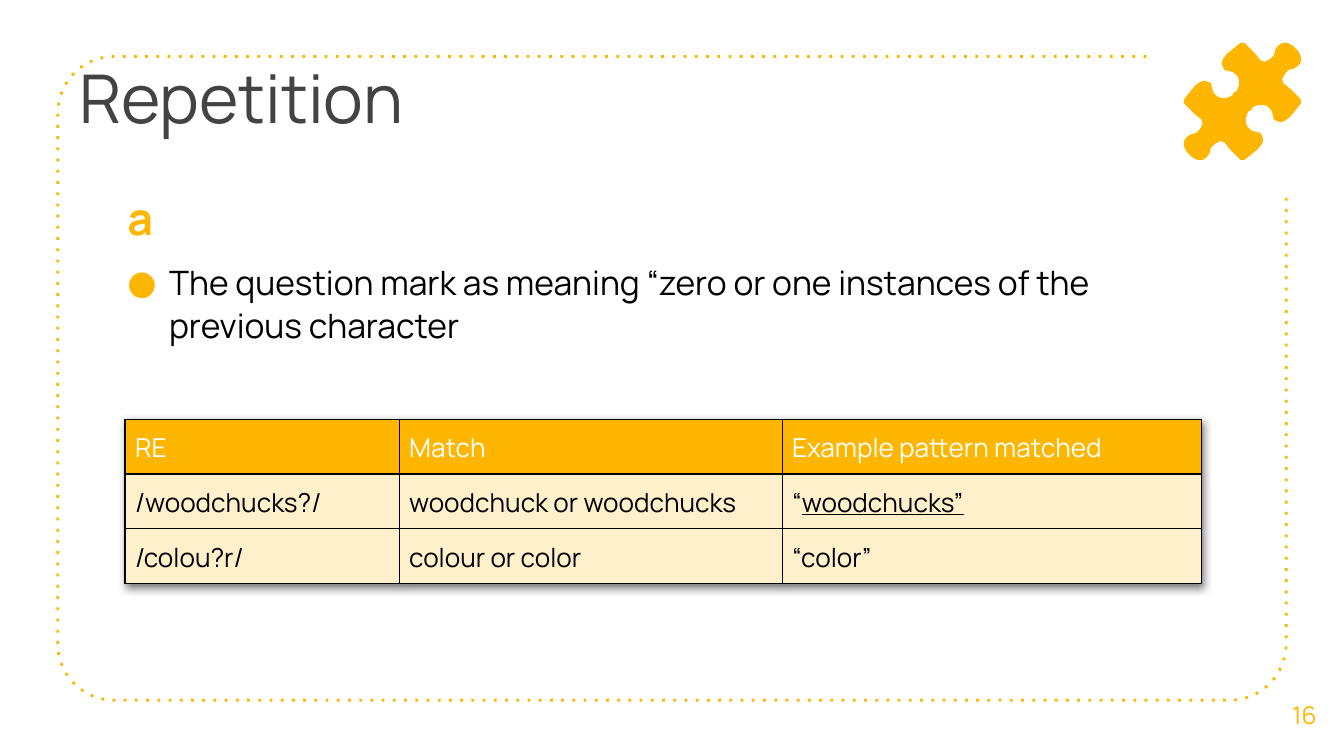
"""Build the slide on repetition in regular expressions."""
from math import cos, radians, sin

from lxml.etree import SubElement
from pptx import Presentation
from pptx.dml.color import RGBColor
from pptx.enum.text import MSO_ANCHOR, PP_ALIGN
from pptx.oxml import parse_xml
from pptx.oxml.ns import nsdecls, qn
from pptx.util import Inches, Pt

AMBER, CREAM, GREY, BLACK, WHITE = "FFB600", "FFF0CC", "434343", "000000", "FFFFFF"
TYPEFACE = "Manrope"

TITLE = "Repetition"
SUBHEAD = "a"
POINT = "The question mark as meaning “zero or one instances of the previous character"
PAGE = "16"
ROWS = [
    ["RE", "Match", "Example pattern matched"],
    ["/woodchucks?/", "woodchuck or woodchucks", "“woodchucks”"],
    ["/colou?r/", "colour or color", "“color”"],
]
UNDERLINED = "woodchucks”"
COLUMN_WIDTHS = [2.04, 2.85, 3.12]
TABLE_HEIGHT = 1.22

FRAME_START, FRAME_END = (8.53, 0.42), (9.57, 1.46)
CORNER_RADIUS = 0.42
CORNERS = [((0.85, 0.84), 270), ((0.85, 4.79), 180), ((9.15, 4.79), 90)]

PUZZLE_BOX = (8.81, 0.32, 9.68, 1.19)
PUZZLE_QUARTER = [
    (9.18, 0.69), (9.17, 0.71), (9.15, 0.72), (9.12, 0.73), (9.09, 0.73),
    (9.06, 0.72), (9.03, 0.69), (9.02, 0.66), (9.01, 0.62), (8.99, 0.61),
    (8.96, 0.6), (8.93, 0.61), (8.89, 0.64), (8.85, 0.69), (8.81, 0.74),
    (8.81, 0.77), (8.83, 0.79), (8.89, 0.85), (8.94, 0.89), (8.95, 0.92),
    (8.93, 0.96), (8.9, 0.99), (8.86, 1), (8.83, 1.02), (8.81, 1.05),
    (8.81, 1.09), (8.83, 1.13), (8.85, 1.15),
]

TITLE_FONT = {"size": Pt(36)}
SUBHEAD_FONT = {"size": Pt(24), "bold": True}
POINT_FONT = {"size": Pt(18)}
PAGE_FONT = {"size": Pt(13)}
CELL_FONT = {"size": Pt(14)}
BODY_SPACING = {"line_spacing": 1.07, "space_after": Pt(8)}
CELL_FORMAT = {
    "margin_left": Pt(5.4), "margin_right": Pt(5.4),
    "margin_top": 0, "margin_bottom": 0, "vertical_anchor": MSO_ANCHOR.MIDDLE,
}


def rgb(value):
    return RGBColor.from_string(value)


def apply(target, values):
    for name, value in values.items():
        setattr(target, name, value)


def add_run(paragraph, text, font, color):
    run = paragraph.add_run()
    run.text = text
    apply(run.font, {"name": TYPEFACE, **font})
    run.font.color.rgb = rgb(color)


def add_text_area(slide, box, anchor=MSO_ANCHOR.TOP):
    frame = slide.shapes.add_textbox(*map(Inches, box)).text_frame
    sides = ("left", "right", "top", "bottom")
    margins = {f"margin_{side}": Inches(0.1) for side in sides}
    apply(frame, {"word_wrap": True, "vertical_anchor": anchor, **margins})
    return frame


def add_outline(slide, points, close):
    start, *rest = [(Inches(x), Inches(y)) for x, y in points]
    builder = slide.shapes.build_freeform(*start)
    builder.add_line_segments(rest, close=close)
    outline = builder.convert_to_shape()
    outline.shadow.inherit = False
    return outline


def add_frame(slide):
    arcs = [
        (x + CORNER_RADIUS * cos(radians(angle)), y + CORNER_RADIUS * sin(radians(angle)))
        for (x, y), first in CORNERS
        for angle in range(first, first - 91, -6)
    ]
    border = add_outline(slide, [FRAME_START, *arcs, FRAME_END], False)
    border.fill.background()
    border.line.color.rgb = rgb(AMBER)
    border.line.width = Pt(1.5)
    SubElement(border.line._get_or_add_ln(), qn("a:prstDash"), val="dot")


def add_puzzle(slide):
    left, top, right, bottom = PUZZLE_BOX
    cx, cy = (left + right) / 2, (top + bottom) / 2
    quarter = [(x - cx, y - cy) for x, y in PUZZLE_QUARTER]
    half = quarter + [(-dy, -dx) for dx, dy in reversed(quarter)]
    whole = half + [(-dx, -dy) for dx, dy in half]
    piece = add_outline(slide, [(cx + dx, cy + dy) for dx, dy in whole], True)
    piece.fill.solid()
    piece.fill.fore_color.rgb = rgb(AMBER)
    piece.line.fill.background()


def add_body(slide):
    body = add_text_area(slide, (0.85, 1.29, 8.31, 0.94))
    subhead = body.paragraphs[0]
    apply(subhead, BODY_SPACING)
    add_run(subhead, SUBHEAD, SUBHEAD_FONT, AMBER)
    point = body.add_paragraph()
    properties = point._p.get_or_add_pPr()
    properties.set("marL", str(Inches(0.31)))
    properties.set("indent", str(-Inches(0.31)))
    SubElement(SubElement(properties, qn("a:buClr")), qn("a:srgbClr"), val=AMBER)
    SubElement(properties, qn("a:buFont"), typeface=TYPEFACE)
    SubElement(properties, qn("a:buChar"), char="●")
    apply(point, BODY_SPACING)
    add_run(point, POINT, POINT_FONT, BLACK)


def add_borders(cell):
    for side in "LRTB":
        cell._tc.get_or_add_tcPr().append(parse_xml(
            f'<a:ln{side} {nsdecls("a")} w="{Pt(0.75)}"><a:solidFill>'
            f'<a:srgbClr val="{BLACK}"/></a:solidFill></a:ln{side}>'
        ))


def fill_cell(cell, text, color, background):
    add_borders(cell)
    apply(cell, CELL_FORMAT)
    cell.fill.solid()
    cell.fill.fore_color.rgb = rgb(background)
    paragraph = cell.text_frame.paragraphs[0]
    paragraph.line_spacing = 1.07
    plain, marked, _ = text.partition(UNDERLINED)
    add_run(paragraph, plain, CELL_FONT, color)
    if marked:
        add_run(paragraph, marked, {**CELL_FONT, "underline": True}, color)


def add_examples(slide):
    size = (sum(COLUMN_WIDTHS), TABLE_HEIGHT)
    examples = slide.shapes.add_table(
        len(ROWS), len(COLUMN_WIDTHS), *map(Inches, (0.93, 3.12, *size))
    ).table
    examples._tbl.tblPr.insert(0, parse_xml(
        f'<a:effectLst {nsdecls("a")}><a:outerShdw blurRad="57150" dist="19050" '
        f'dir="5400000" algn="bl" rotWithShape="0"><a:srgbClr val="{BLACK}">'
        '<a:alpha val="50000"/></a:srgbClr></a:outerShdw></a:effectLst>'
    ))
    for column, width in zip(examples.columns, COLUMN_WIDTHS):
        column.width = Inches(width)
    for index, (row, texts) in enumerate(zip(examples.rows, ROWS)):
        row.height = Inches(TABLE_HEIGHT / len(ROWS))
        color, background = (BLACK, CREAM) if index else (WHITE, AMBER)
        for cell, text in zip(row.cells, texts):
            fill_cell(cell, text, color, background)


def main():
    deck = Presentation()
    apply(deck, {"slide_width": Inches(10), "slide_height": Inches(10) * 9 // 16})
    slide = deck.slides.add_slide(deck.slide_layouts[6])
    add_frame(slide)
    add_body(slide)
    title = add_text_area(slide, (0.49, 0.32, 7.51, 0.94))
    add_run(title.paragraphs[0], TITLE, TITLE_FONT, GREY)
    page = add_text_area(slide, (9.41, 5.02, 0.59, 0.6), MSO_ANCHOR.MIDDLE)
    page.paragraphs[0].alignment = PP_ALIGN.CENTER
    add_run(page.paragraphs[0], PAGE, PAGE_FONT, AMBER)
    add_puzzle(slide)
    add_examples(slide)
    deck.save("out.pptx")


if __name__ == "__main__":
    main()
